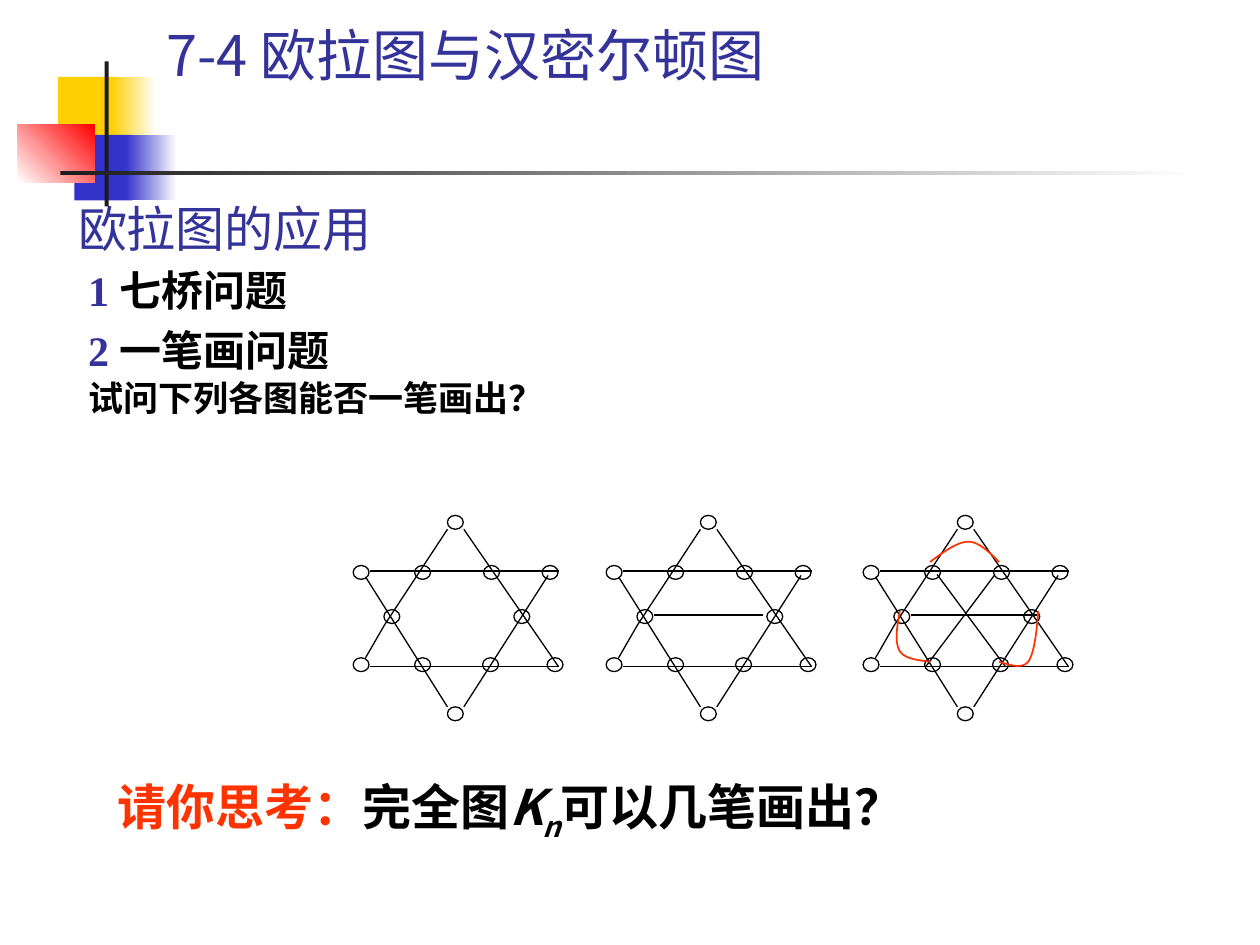
from lxml import etree
from pptx import Presentation
from pptx import util as u
from pptx.dml.color import RGBColor
from pptx.enum import shapes, text
from pptx.oxml.ns import qn

BLACK = RGBColor(0x00, 0x00, 0x00)
WHITE = RGBColor(0xFF, 0xFF, 0xFF)
INK = RGBColor(0x1C, 0x1C, 0x1C)
NAVY = RGBColor(0x33, 0x33, 0x99)
BLUE = RGBColor(0x33, 0x33, 0xCC)
YELLOW = RGBColor(0xFF, 0xCF, 0x01)
RED = RGBColor(0xFF, 0x00, 0x00)
ORANGE = RGBColor(0xFF, 0x33, 0x00)
SANS, SERIF, COMIC = "Noto Sans CJK SC", "Times New Roman", "Comic Neue"


def place(shape, left, top, width, height):
    shape.left, shape.top = u.Cm(left), u.Cm(top)
    shape.width, shape.height = u.Cm(width), u.Cm(height)


def write(para, spans, bold=None):
    for words, size, font, color in spans:
        span = para.add_run()
        span.text = words
        span.font.size = u.Pt(size)
        span.font.name = font
        span.font.bold = bold
        span.font.color.rgb = color


deck = Presentation()
deck.slide_width, deck.slide_height = u.Cm(25.4), u.Cm(19.05)
page = deck.slides.add_slide(deck.slide_layouts[1])

decorations = [
    (1.17, 1.55, 1.22, 1.32, [YELLOW], 0),
    (2.24, 1.55, 0.91, 1.32, [YELLOW, WHITE], 0),
    (1.5, 2.72, 1.17, 1.32, [BLUE], 0),
    (2.54, 2.72, 1.02, 1.32, [BLUE, WHITE], 0),
    (0.36, 2.51, 1.55, 1.17, [WHITE, RED], 45),
    (2.11, 1.24, 0.08, 2.92, [INK], 0),
    (1.22, 3.45, 22.86, 0.08, [INK, WHITE], 0),
]
for left, top, width, height, colors, angle in decorations:
    block = page.shapes.add_shape(shapes.MSO_SHAPE.RECTANGLE, 0, 0, 0, 0)
    place(block, left, top, width, height)
    block.shadow.inherit = False
    block.line.fill.background()
    if len(colors) == 1:
        block.fill.solid()
        block.fill.fore_color.rgb = colors[0]
    else:
        block.fill.gradient()
        block.fill.gradient_angle = angle
        for stop, color, position in zip(block.fill.gradient_stops, colors, (0, 1)):
            stop.color.rgb = color
            stop.position = position

title = page.shapes.title
place(title, 1.32, 3.2, 21.59, 2.11)
title.text_frame.auto_size = text.MSO_AUTO_SIZE.NONE
title.text_frame.vertical_anchor = text.MSO_ANCHOR.BOTTOM
title.text_frame.paragraphs[0].alignment = text.PP_ALIGN.LEFT
write(title.text_frame.paragraphs[0], [("欧拉图的应用", 28, COMIC, NAVY)])

body = page.placeholders[1]
place(body, 1.52, 5, 21.46, 3.3)
body.text_frame.auto_size = text.MSO_AUTO_SIZE.NONE
problems = [
    (1.2, [("1 ", 24, SERIF, NAVY), ("七桥问题", 24, SERIF, BLACK)]),
    (1.2, [("2 ", 24, SERIF, NAVY), ("一笔画问题", 24, SERIF, BLACK)]),
    (0.9, [("试问下列各图能否一笔画出？", 20, SERIF, BLACK), (" ", 24, SERIF, BLACK)]),
]
for index, (spacing, spans) in enumerate(problems):
    para = body.text_frame.paragraphs[0] if index == 0 else body.text_frame.add_paragraph()
    properties = para._p.get_or_add_pPr()
    properties.set("marL", "0")
    properties.set("indent", "0")
    etree.SubElement(properties, qn("a:buNone"))
    para.line_spacing = spacing
    para.space_before = u.Pt(0)
    write(para, spans, bold=True)

NODE_ROWS = [
    (10.39, [0]),
    (11.4, [-1.9, -0.66, 0.73, 1.91]),
    (12.29, [-1.28, 1.34]),
    (13.26, [-1.9, -0.66, 0.71, 2.01]),
    (14.25, [0]),
]
STAR_EDGES = [
    (-1.57, 11.51, 2.24, 11.51),
    (-1.57, 13.44, 2.24, 13.44),
    (0, 10.67, -1.27, 12.6),
    (-1.27, 12.6, -1.65, 13.26),
    (-1.65, 11.63, 0, 14.25),
    (0.33, 10.67, 2.24, 13.44),
    (2.03, 11.6, 0.33, 14.25),
]
stars = [
    (9.02, []),
    (14.12, [(-0.94, 12.4, 1.27, 12.4)]),
    (19.3, [(-0.94, 12.4, 1.6, 12.4), (-0.41, 11.58, 0.97, 13.44), (0.76, 11.58, -0.64, 13.44)]),
]
for origin, chords in stars:
    star = page.shapes.add_group_shape()
    for top, offsets in NODE_ROWS:
        for offset in offsets:
            node = star.shapes.add_shape(
                shapes.MSO_SHAPE.OVAL, u.Cm(origin + offset), u.Cm(top), u.Cm(0.32), u.Cm(0.28))
            node.shadow.inherit = False
            node.fill.background()
            node.line.color.rgb = BLACK
            node.line.width = u.Pt(0.75)
    for x1, y1, x2, y2 in STAR_EDGES + chords:
        edge = star.shapes.add_connector(
            shapes.MSO_CONNECTOR.STRAIGHT, u.Cm(origin + x1), u.Cm(y1), u.Cm(origin + x2), u.Cm(y2))
        edge.line.color.rgb = BLACK
        edge.line.width = u.Pt(0.75)
        etree.SubElement(edge._element.spPr, qn("a:effectLst"))

arcs = [
    [(18.75, 11.33), (19.02, 11.13), (19.3, 10.92), (19.53, 10.92),
     (19.76, 10.92), (20.04, 11.23), (20.14, 11.33)],
    [(20.93, 12.32), (20.9, 12.75), (20.85, 13.16), (20.73, 13.34),
     (20.6, 13.49), (20.37, 13.41), (20.14, 13.34)],
    [(18.14, 12.32), (18.08, 12.65), (18.03, 12.95), (18.14, 13.13),
     (18.24, 13.28), (18.49, 13.31), (18.75, 13.34)],
]
STEPS = 12
for controls in arcs:
    points = []
    for first in (0, 3):
        for step in range(1, STEPS + 1):
            t = step / STEPS
            weights = ((1 - t) ** 3, 3 * t * (1 - t) ** 2, 3 * t * t * (1 - t), t ** 3)
            points.append(tuple(
                u.Cm(sum(w * point[axis] for w, point in zip(weights, controls[first:first + 4])))
                for axis in (0, 1)))
    builder = page.shapes.build_freeform(u.Cm(controls[0][0]), u.Cm(controls[0][1]))
    builder.add_line_segments(points, close=False)
    arc = builder.convert_to_shape()
    arc.shadow.inherit = False
    arc.fill.background()
    arc.line.color.rgb = ORANGE
    arc.line.width = u.Pt(1)

question = page.shapes.add_textbox(u.Cm(1.9), u.Cm(15.52), u.Cm(19.61), u.Cm(1.45))
question.text_frame.word_wrap = True
question.text_frame.auto_size = text.MSO_AUTO_SIZE.SHAPE_TO_FIT_TEXT
para = question.text_frame.paragraphs[0]
write(para, [
    (" 请你思考：", 28, SERIF, ORANGE),
    ("完全图", 28, SANS, BLACK),
    ("K", 28, SANS, BLACK),
    ("n", 28, SANS, BLACK),
    ("可以几笔画出？", 28, SANS, BLACK),
], bold=True)
for span in para.runs[2:4]:
    span.font.italic = True
para.runs[3].font._element.set("baseline", "-25000")

heading = page.shapes.add_textbox(u.Cm(3.1), u.Cm(0.71), u.Cm(18.8), u.Cm(1.19))
heading.text_frame.word_wrap = True
heading.text_frame.vertical_anchor = text.MSO_ANCHOR.BOTTOM
write(heading.text_frame.paragraphs[0], [("7-4 欧拉图与汉密尔顿图", 32, SANS, NAVY)])

deck.save("out.pptx")
